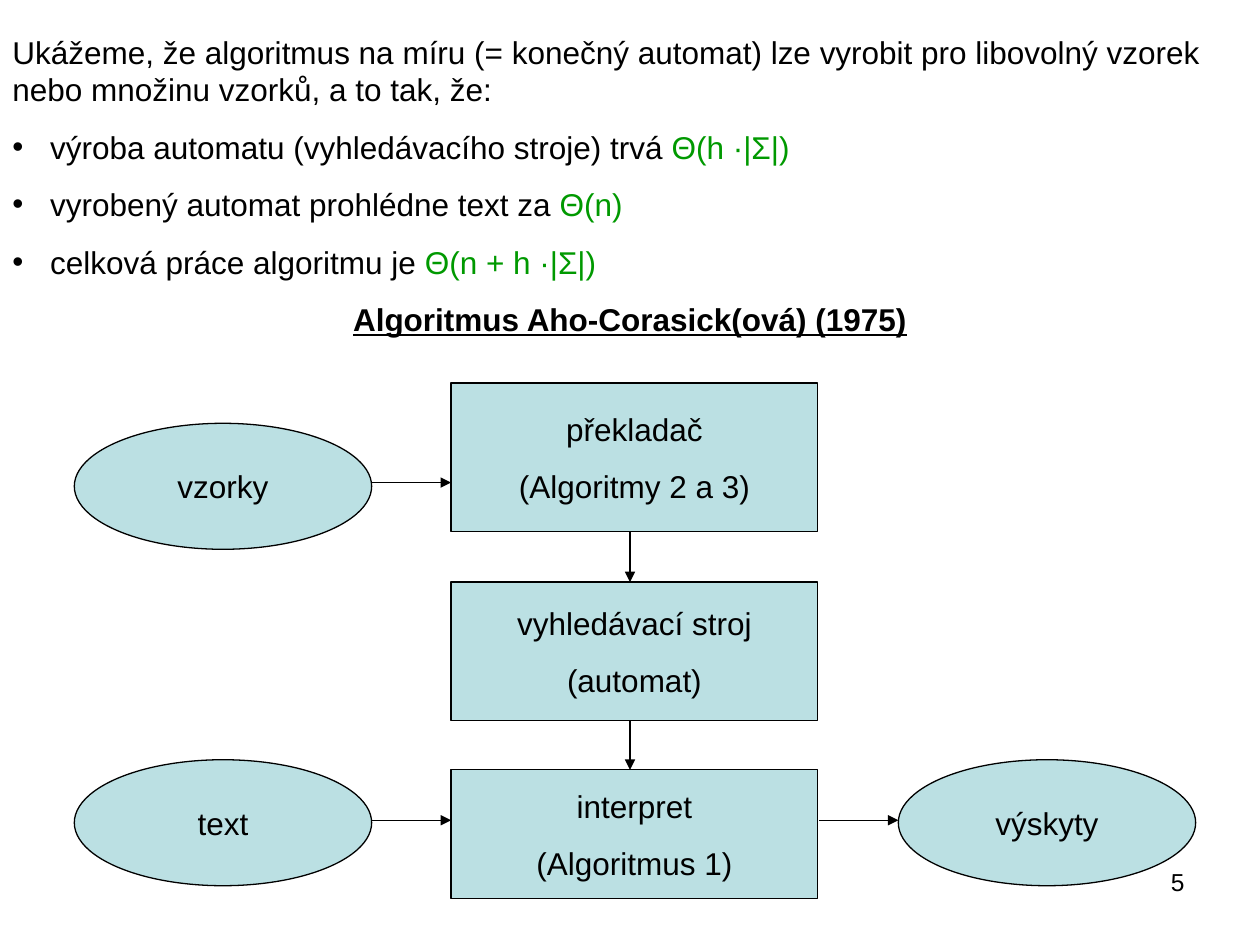
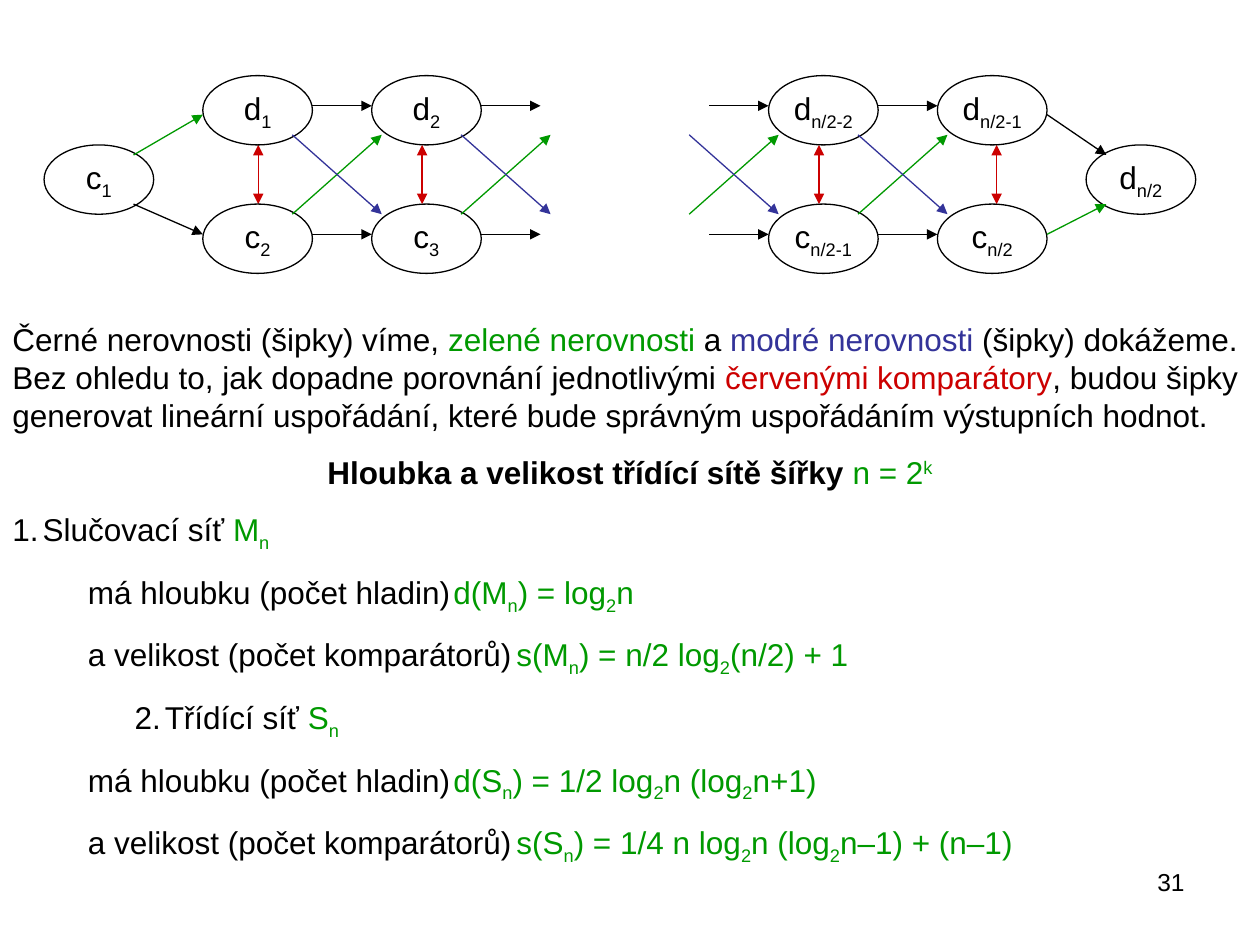
from dataclasses import dataclass

from pptx import Presentation
from pptx.dml.color import RGBColor
from pptx.enum.shapes import MSO_CONNECTOR as Connector, MSO_SHAPE as Preset
from pptx.enum.text import MSO_ANCHOR as Anchor, PP_ALIGN as Align
from pptx.oxml.ns import qn
from pptx.util import Inches, Pt
from lxml.etree import SubElement


@dataclass(frozen=True)
class Theme:
    font: str = "Arial"
    body: float = 18
    page_number: float = 14
    gap: float = 11.2
    line: float = 0.75
    black: str = "000000"
    green: str = "009900"
    blue: str = "333399"
    red: str = "CC0000"
    node_fill: str = "BBE0E3"


THEME = Theme()


@dataclass
class Span:
    text: str
    colour: str = THEME.black
    bold: bool = False
    underline: bool = False
    baseline: int = 0


def formula(text, colour=THEME.green):
    """Spans of a formula in which underscores enclose each subscript."""
    return [Span(part, colour, baseline=-25000 * (index % 2))
            for index, part in enumerate(text.split("_")) if part]


# Text

def add_spans(paragraph, spans, size=THEME.body):
    for span in spans:
        run = paragraph.add_run()
        run.text = span.text
        font = run.font
        font.name, font.size = THEME.font, Pt(size)
        font.bold, font.underline = span.bold, span.underline
        font.color.rgb = RGBColor.from_string(span.colour)
        if span.baseline:
            run._r.get_or_add_rPr().set("baseline", str(span.baseline))


def fill_text(text_frame, paragraphs, align=Align.LEFT, size=THEME.body):
    """Write lists of spans as paragraphs and return those paragraphs."""
    written = []
    for index, spans in enumerate(paragraphs):
        paragraph = text_frame.add_paragraph() if index else text_frame.paragraphs[0]
        paragraph.alignment = align
        paragraph.space_before = Pt(THEME.gap if index else 0)
        add_spans(paragraph, spans, size)
        written.append(paragraph)
    return written


def add_text(slide, left, top, width, height, paragraphs, **options):
    box = slide.shapes.add_textbox(*map(Inches, (left, top, width, height)))
    box.text_frame.word_wrap = True
    return fill_text(box.text_frame, paragraphs, **options)


def set_indent(paragraph, margin, first_line):
    properties = paragraph._p.get_or_add_pPr()
    properties.set("marL", str(Inches(margin)))
    properties.set("indent", str(Inches(first_line)))
    return properties


def set_bullet(paragraph, margin, hanging, number=None):
    properties = set_indent(paragraph, margin, -hanging)
    colour = SubElement(properties, qn("a:buClr"))
    SubElement(colour, qn("a:srgbClr"), val=THEME.black)
    SubElement(properties, qn("a:buFont"), typeface=THEME.font)
    if number is None:
        SubElement(properties, qn("a:buChar"), char="•")
    else:
        SubElement(properties, qn("a:buAutoNum"), type="arabicPeriod",
                   startAt=str(number))


def set_tab(paragraph, first_line, position):
    tabs = SubElement(set_indent(paragraph, 0, first_line), qn("a:tabLst"))
    SubElement(tabs, qn("a:tab"), pos=str(Inches(position)), algn="l")


def add_page_number(slide, number):
    add_text(slide, 7.17, 6.83, 2.33, 0.52, [[Span(str(number))]],
             align=Align.RIGHT, size=THEME.page_number)


# Diagram parts

def add_node(slide, preset, left, top, width, height, paragraphs, fill=None):
    shape = slide.shapes.add_shape(preset, *map(Inches, (left, top, width, height)))
    shape.shadow.inherit = False
    if fill:
        shape.fill.solid()
        shape.fill.fore_color.rgb = RGBColor.from_string(fill)
    else:
        shape.fill.background()
    shape.line.color.rgb = RGBColor.from_string(THEME.black)
    shape.line.width = Pt(THEME.line)
    frame = shape.text_frame
    frame.word_wrap = False
    frame.vertical_anchor = Anchor.MIDDLE
    frame.margin_left = frame.margin_right = frame.margin_top = frame.margin_bottom = 0
    fill_text(frame, paragraphs, align=Align.CENTER)


def add_arrow(slide, start, end, colour=THEME.black, both_ends=False):
    arrow = slide.shapes.add_connector(Connector.STRAIGHT, *map(Inches, start + end))
    arrow.line.color.rgb = RGBColor.from_string(colour)
    arrow.line.width = Pt(THEME.line)
    line = arrow.line._get_or_add_ln()
    if both_ends:
        SubElement(line, qn("a:headEnd"), type="triangle")
    SubElement(line, qn("a:tailEnd"), type="triangle")
    SubElement(arrow._element.spPr, qn("a:effectLst"))


# Slides

def build_algorithm_slide(slide):
    paragraphs = add_text(slide, 0, 0.21, 10, 2.53, [
        [Span("Ukážeme, že algoritmus na míru (= konečný automat) lze vyrobit "
              "pro libovolný vzorek nebo množinu vzorků, a to tak, že:")],
        [Span("výroba automatu (vyhledávacího stroje) trvá "),
         Span("Θ(h ·|Σ|)", THEME.green)],
        [Span("vyrobený automat prohlédne text za "), Span("Θ(n)", THEME.green)],
        [Span("celková práce algoritmu je "), Span("Θ(n + h ·|Σ|)", THEME.green)],
        [Span("Algoritmus Aho-Corasick(ová) (1975)", bold=True, underline=True)],
    ])
    for paragraph in paragraphs[1:4]:
        set_bullet(paragraph, 0.3, 0.3)
    paragraphs[-1].alignment = Align.CENTER

    # Inputs and output
    for left, top, label in ((0.59, 3.36, "vzorky"), (0.59, 6.03, "text"),
                             (7.13, 6.03, "výskyty")):
        add_node(slide, Preset.OVAL, left, top, 2.36, 1, [[Span(label)]],
                 THEME.node_fill)

    # Processing steps
    for top, height, labels in (
            (3.04, 1.18, ("překladač", "(Algoritmy 2 a 3)")),
            (4.62, 1.1, ("vyhledávací stroj", "(automat)")),
            (6.11, 1.02, ("interpret", "(Algoritmus 1)"))):
        add_node(slide, Preset.RECTANGLE, 3.58, top, 2.91, height,
                 [[Span(label)] for label in labels], THEME.node_fill)

    for start, end in (((2.95, 3.83), (3.58, 3.83)), ((2.95, 6.51), (3.58, 6.51)),
                       ((6.5, 6.51), (7.13, 6.51)), ((5, 4.22), (5, 4.62)),
                       ((5, 5.72), (5, 6.11))):
        add_arrow(slide, start, end)
    add_page_number(slide, 5)


def build_network(slide):
    width, height, pitch = 0.87, 0.55, 1.34
    upper, middle, lower = 0.6, 1.15, 1.62

    # Columns: left edge, comparator position, upper and lower label
    columns = ((1.61, 2.05, "d_1", "c_2"), (2.95, 3.35, "d_2", "c_3"),
               (6.1, 6.5, "d_n/2-2", "c_n/2-1"), (7.44, 7.91, "d_n/2-1", "c_n/2"))
    nodes = [(0.35, middle, "c_1"), (8.62, middle, "d_n/2")]
    for left, comparator, upper_label, lower_label in columns:
        nodes += [(left, upper, upper_label), (left, lower, lower_label)]
        add_arrow(slide, (comparator, upper + height), (comparator, lower),
                  THEME.red, both_ends=True)
    for left, top, label in nodes:
        add_node(slide, Preset.OVAL, left, top, width, height,
                 [formula(label, THEME.black)])

    # Arrows from one column to the next
    for left in (1.61, 2.95, 4.76, 6.1):
        for level in (0.84, 1.86):
            add_arrow(slide, (left + width, level), (left + pitch, level))
        near, far = left + 0.71, left + 1.42
        add_arrow(slide, (near, 1.7), (far, 1.07), THEME.green)
        add_arrow(slide, (near, 1.07), (far, 1.7), THEME.blue)

    # Arrows of the first and last node
    add_arrow(slide, (1.06, 1.23), (1.61, 0.91), THEME.green)
    add_arrow(slide, (1.06, 1.62), (1.61, 1.86))
    add_arrow(slide, (8.31, 0.91), (8.78, 1.23))
    add_arrow(slide, (8.31, 1.86), (8.78, 1.62), THEME.green)


def network_section(title, symbol, depth, size):
    """Heading of one kind of network, followed by its depth and size."""
    return [
        [Span(title + " "), *formula(symbol)],
        [Span("má hloubku (počet hladin)\t"), *formula(f"d({symbol}_) = {depth}")],
        [Span("a velikost (počet komparátorů)\t"), *formula(f"s({symbol}_) = {size}")],
    ]


def build_sorting_slide(slide):
    build_network(slide)
    paragraphs = add_text(slide, 0, 2.49, 10, 4.44, [
        [Span("Černé nerovnosti (šipky) víme, "),
         Span("zelené nerovnosti", THEME.green), Span(" a"),
         Span(" modré nerovnosti", THEME.blue),
         Span(" (šipky) dokážeme. Bez ohledu to, jak dopadne porovnání jednotlivými "),
         Span("červenými komparátory", THEME.red),
         Span(", budou šipky generovat lineární uspořádání, které bude správným "
              "uspořádáním výstupních hodnot.")],
        [Span("Hloubka a velikost třídící sítě šířky ", bold=True),
         Span("n = 2", THEME.green), Span("k", THEME.green, baseline=30000)],
        *network_section("Slučovací síť", "M_n", "log_2_n", "n/2 log_2_(n/2) + 1"),
        *network_section("Třídící síť", "S_n", "1/2 log_2_n (log_2_n+1)",
                         "1/4 n log_2_n (log_2_n–1) + (n–1)"),
    ])
    paragraphs[1].alignment = Align.CENTER
    for number, first, margin in ((1, 2, 0.24), (2, 5, 1.21)):
        set_bullet(paragraphs[first], margin, 0.24, number)
        for paragraph in paragraphs[first + 1:first + 3]:
            set_tab(paragraph, 0.6, 4.97)
    add_page_number(slide, 31)


def main():
    presentation = Presentation()
    presentation.slide_width, presentation.slide_height = Inches(10), Inches(7.5)
    blank = presentation.slide_layouts[6]
    for build in (build_algorithm_slide, build_sorting_slide):
        build(presentation.slides.add_slide(blank))
    presentation.save("out.pptx")


if __name__ == "__main__":
    main()
